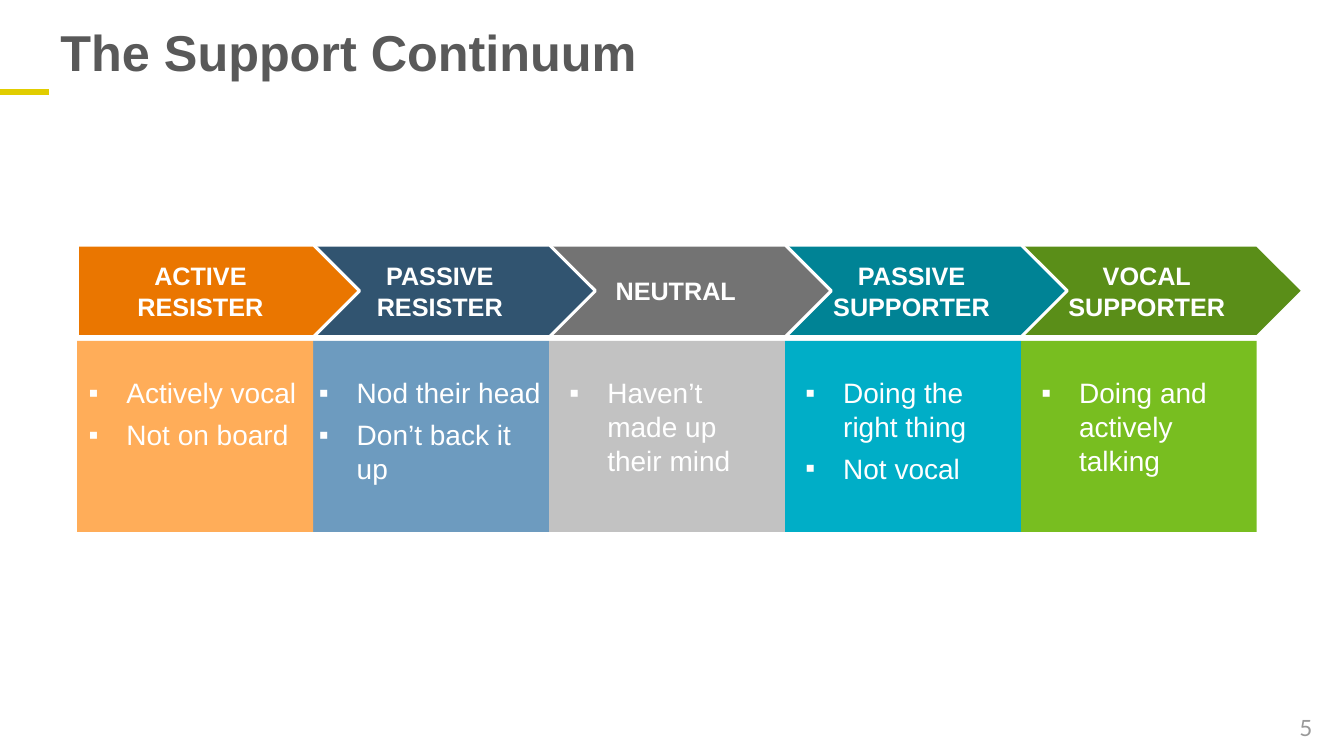
from pptx import Presentation
from pptx.dml.color import RGBColor
from pptx.enum.shapes import MSO_CONNECTOR, MSO_SHAPE
from pptx.enum.text import MSO_ANCHOR, MSO_AUTO_SIZE, PP_ALIGN
from pptx.oxml.ns import qn
from pptx.util import Pt
from lxml.etree import SubElement

WHITE = RGBColor(0xFF, 0xFF, 0xFF)
TITLE_GREY = RGBColor(0x59, 0x59, 0x59)
NUMBER_GREY = RGBColor(0x99, 0x99, 0x99)
YELLOW = RGBColor(0xE1, 0xCD, 0x00)

# Content: heading, points, arrow colour, panel colour
TITLE = "The Support Continuum"
SLIDE_NUMBER = "5"
STAGES = [
    (["ACTIVE", "RESISTER"], ["Actively vocal", "Not on board"],
     RGBColor(0xEA, 0x76, 0x00), RGBColor(0xFF, 0xAD, 0x59)),
    (["PASSIVE", "RESISTER"], ["Nod their head", "Don’t back it up"],
     RGBColor(0x31, 0x54, 0x70), RGBColor(0x6D, 0x9B, 0xBF)),
    (["NEUTRAL"], ["Haven’t made up their mind"],
     RGBColor(0x73, 0x73, 0x73), RGBColor(0xC2, 0xC2, 0xC2)),
    (["PASSIVE", "SUPPORTER"], ["Doing the right thing", "Not vocal"],
     RGBColor(0x00, 0x83, 0x95), RGBColor(0x00, 0xAE, 0xC7)),
    (["VOCAL", "SUPPORTER"], ["Doing and actively talking"],
     RGBColor(0x5A, 0x8E, 0x18), RGBColor(0x78, 0xBE, 0x20)),
]
# Heading centre (from column left), heading width, list inset, list height
FITS = [(88, 105, 4.5, 58), (90.5, 105, 0.5, 82), (90.5, 101.5, 11, 76),
        (90.5, 127, 11, 82), (90, 127, 11, 76)]

# Layout in points
LEFT, COLUMN = 55.2, 168.5
ARROW_TOP, ARROW_W, ARROW_H = 175, 201.6, 65.5
PANEL_TOP, PANEL_H = 243.4, 136.6
LIST_TOP, INDENT = 266.4, 27
LINE_H = 22

HEADING = dict(name="Arial", size=Pt(18), bold=True)
POINT = dict(name="Arial", size=Pt(20))
TITLE_FONT = dict(name="Arial", size=Pt(36), bold=True)
NUMBER_FONT = dict(name="Lato", size=Pt(16))


def box(*points):
    return [Pt(v) for v in points]


def write(tf, lines, font, color, align=PP_ALIGN.LEFT):
    for i, line in enumerate(lines):
        p = tf.add_paragraph() if i else tf.paragraphs[0]
        p.alignment = align
        r = p.add_run()
        r.text = line
        for key, value in font.items():
            setattr(r.font, key, value)
        r.font.color.rgb = color


def add_block(kind, place, fill, line=None):
    sp = s.shapes.add_shape(kind, *box(*place))
    sp.shadow.inherit = False
    sp.fill.solid()
    sp.fill.fore_color.rgb = fill
    if line:
        sp.line.color.rgb = line
        sp.line.width = Pt(2.25)
    else:
        sp.line.fill.background()


def add_text(place, wrap=True, **frame):
    tf = s.shapes.add_textbox(*box(*place)).text_frame
    tf.word_wrap = wrap
    for key, value in frame.items():
        setattr(tf, key, value)
    return tf


def add_bullet(p):
    pPr = p._p.get_or_add_pPr()
    pPr.set("marL", str(Pt(INDENT)))
    pPr.set("indent", str(-Pt(INDENT)))
    color = SubElement(pPr, qn("a:buClr"))
    SubElement(color, qn("a:srgbClr"), val=str(WHITE))
    SubElement(pPr, qn("a:buFont"), typeface="Arial")
    SubElement(pPr, qn("a:buChar"), char="▪")


prs = Presentation()
prs.slide_width, prs.slide_height = box(960, 540)
s = prs.slides.add_slide(prs.slide_layouts[5])

# Title and accent line
title = s.shapes.title
title.left, title.top, title.width, title.height = box(36, 16.5, 648, 49.7)
tf = title.text_frame
tf.vertical_anchor, tf.auto_size = MSO_ANCHOR.TOP, MSO_AUTO_SIZE.NONE
write(tf, [TITLE], TITLE_FONT, TITLE_GREY)
tf.paragraphs[0].line_spacing = 0.9

accent = s.shapes.add_connector(MSO_CONNECTOR.STRAIGHT, *box(0, 65.8, 35.3, 65.8))
accent.line.color.rgb = YELLOW
accent.line.width = Pt(4.5)
SubElement(accent._element.spPr, qn("a:effectLst"))

# Stages, right to left so that each arrow overlaps the next one
for i in reversed(range(len(STAGES))):
    heading, points, arrow_color, panel_color = STAGES[i]
    center, width, inset, list_h = FITS[i]
    x = LEFT + i * COLUMN

    add_block(MSO_SHAPE.RECTANGLE, (x, PANEL_TOP, COLUMN, PANEL_H), panel_color)
    add_block(MSO_SHAPE.PENTAGON, (x, ARROW_TOP, ARROW_W, ARROW_H), arrow_color, WHITE)

    label_h = LINE_H * len(heading) + 7
    label_top = ARROW_TOP + (ARROW_H - label_h) / 2
    tf = add_text((x + center - width / 2, label_top, width, label_h), wrap=False,
                  vertical_anchor=MSO_ANCHOR.MIDDLE)
    write(tf, heading, HEADING, WHITE, PP_ALIGN.CENTER)

    tf = add_text((x + inset, LIST_TOP, COLUMN - 2 * inset + 0.5, list_h),
                  margin_left=Pt(3.6), margin_right=Pt(3.6),
                  margin_top=Pt(2), margin_bottom=Pt(2))
    write(tf, points, POINT, WHITE)
    for n, p in enumerate(tf.paragraphs):
        add_bullet(p)
        p.space_before = Pt(6 if n else 0)

# Slide number
tf = add_text((913.7, 500.4, 38, 38), vertical_anchor=MSO_ANCHOR.MIDDLE,
              margin_left=0, margin_right=0, margin_top=0, margin_bottom=0)
write(tf, [SLIDE_NUMBER], NUMBER_FONT, NUMBER_GREY, PP_ALIGN.CENTER)

prs.save("out.pptx")
